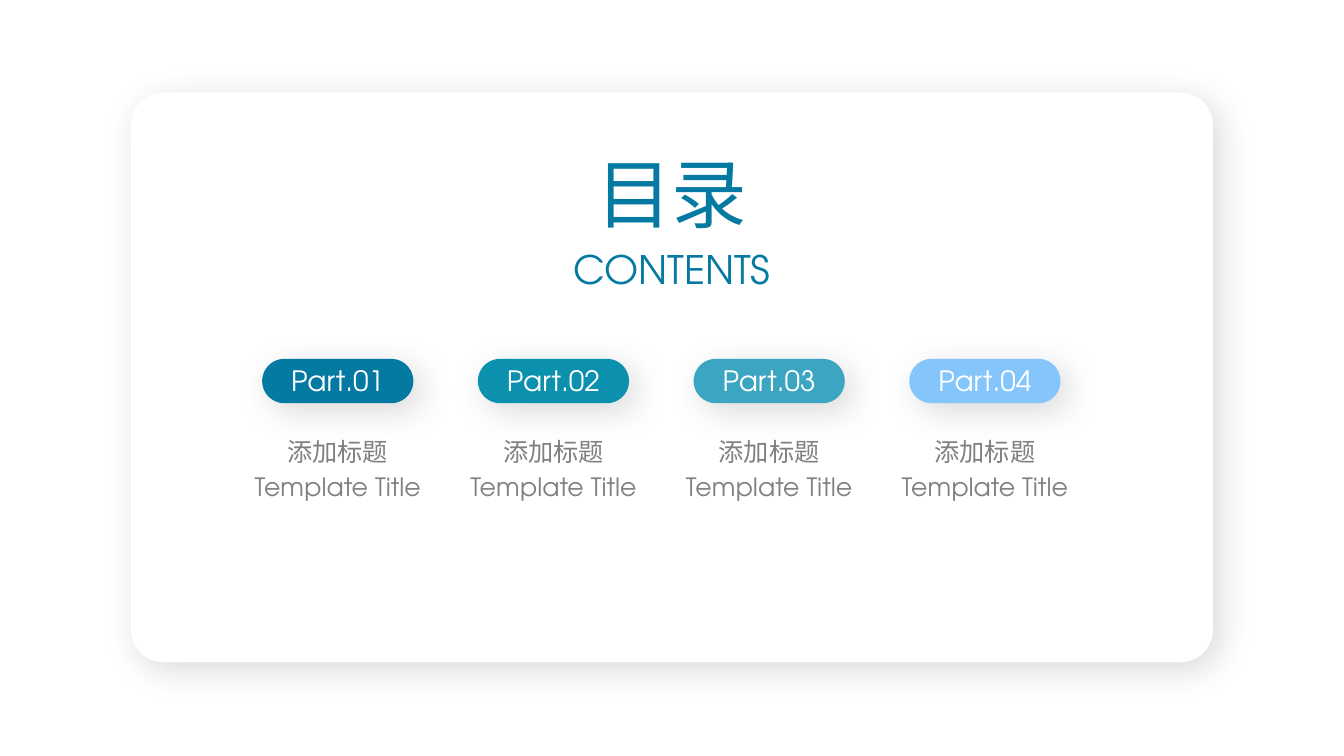
from dataclasses import dataclass

from lxml.etree import SubElement
from pptx import Presentation
from pptx.dml.color import RGBColor
from pptx.enum.shapes import MSO_SHAPE
from pptx.enum.text import MSO_AUTO_SIZE, PP_ALIGN
from pptx.oxml.ns import qn
from pptx.shapes.autoshape import Shape
from pptx.util import Inches, Pt

SLIDE_W, SLIDE_H = Inches(13.33), Inches(7.5)
LATIN, CJK = "TeX Gyre Adventor", "Noto Sans CJK JP"
BLUE, GREY, WHITE = "0479A1", "808080", "FFFFFF"
FIRST_COLUMN, COLUMN_PITCH = 25.13, 16.05


@dataclass(frozen=True)
class Box:
    """Centre, top, width and height in percent of the slide's size."""
    center: float
    top: float
    width: float
    height: float

    def emu(self) -> tuple[int, int, int, int]:
        """Return left, top, width and height in EMU."""
        left = self.center - self.width / 2
        return (round(left * SLIDE_W / 100), round(self.top * SLIDE_H / 100),
                round(self.width * SLIDE_W / 100), round(self.height * SLIDE_H / 100))


@dataclass(frozen=True)
class Part:
    """One entry of the contents list."""
    label: str
    color: str
    title: str = "添加标题"
    subtitle: str = "Template Title"


PARTS = [
    Part("Part.01", BLUE),
    Part("Part.02", "0B91AD"),
    Part("Part.03", "3CA5C1"),
    Part("Part.04", "84C5FC"),
]


def rgb(color: str) -> RGBColor:
    """Turn a hex string into a colour."""
    return RGBColor.from_string(color)


def add_shadow(sp: Shape) -> None:
    """Give a shape a soft shadow to the lower right."""
    sp.shadow.inherit = False
    effects = sp.element.spPr.find(qn("a:effectLst"))
    shadow = SubElement(effects, qn("a:outerShdw"), blurRad=str(Pt(25)), dist=str(Pt(8)),
                        dir=str(45 * 60000), algn="tl", rotWithShape="0")
    color = SubElement(shadow, qn("a:srgbClr"), val="000000")
    SubElement(color, qn("a:alpha"), val="15000")


def add_panel(shapes, box: Box, color: str, corner: float) -> None:
    """Draw a rounded rectangle with a shadow."""
    sp = shapes.add_shape(MSO_SHAPE.ROUNDED_RECTANGLE, *box.emu())
    sp.adjustments[0] = corner
    sp.fill.solid()
    sp.fill.fore_color.rgb = rgb(color)
    sp.line.fill.background()
    add_shadow(sp)


def add_text(shapes, box: Box, text: str, size: int, color: str,
             font: str = LATIN, wrap: bool = False) -> None:
    """Write one centred line of text."""
    tf = shapes.add_textbox(*box.emu()).text_frame
    tf.word_wrap = wrap
    tf.auto_size = MSO_AUTO_SIZE.SHAPE_TO_FIT_TEXT
    p = tf.paragraphs[0]
    p.alignment = PP_ALIGN.CENTER
    r = p.add_run()
    r.text = text
    r.font.size = Pt(size)
    r.font.color.rgb = rgb(color)
    r.font.name = font
    SubElement(r.font._element, qn("a:ea"), typeface=CJK)


def add_part(shapes, part: Part, center: float) -> None:
    """Draw a pill with its label and the grouped captions below it."""
    add_panel(shapes, Box(center, 47.47, 11.25, 5.87), part.color, 0.5)
    add_text(shapes, Box(center, 47.47, 9.23, 5.87), part.label, 20, WHITE, wrap=True)
    captions = shapes.add_group_shape().shapes
    add_text(captions, Box(center, 57.07, 9.08, 5.33), part.title, 18, GREY)
    add_text(captions, Box(center, 61.73, 14.1, 5.33), part.subtitle, 18, GREY)


def main() -> None:
    """Build the contents slide."""
    prs = Presentation()
    prs.slide_width, prs.slide_height = SLIDE_W, SLIDE_H
    shapes = prs.slides.add_slide(prs.slide_layouts[6]).shapes
    add_panel(shapes, Box(50, 12.27, 80.5, 75.33), WHITE, 0.056)
    add_text(shapes, Box(50, 18.8, 12.83, 13.47), "目录", 54, BLUE, font=CJK)
    add_text(shapes, Box(50, 31.73, 16.35, 7.6), "CONTENTS", 28, BLUE)
    for i, part in enumerate(PARTS):
        add_part(shapes, part, FIRST_COLUMN + i * COLUMN_PITCH)
    prs.save("out.pptx")


if __name__ == "__main__":
    main()
